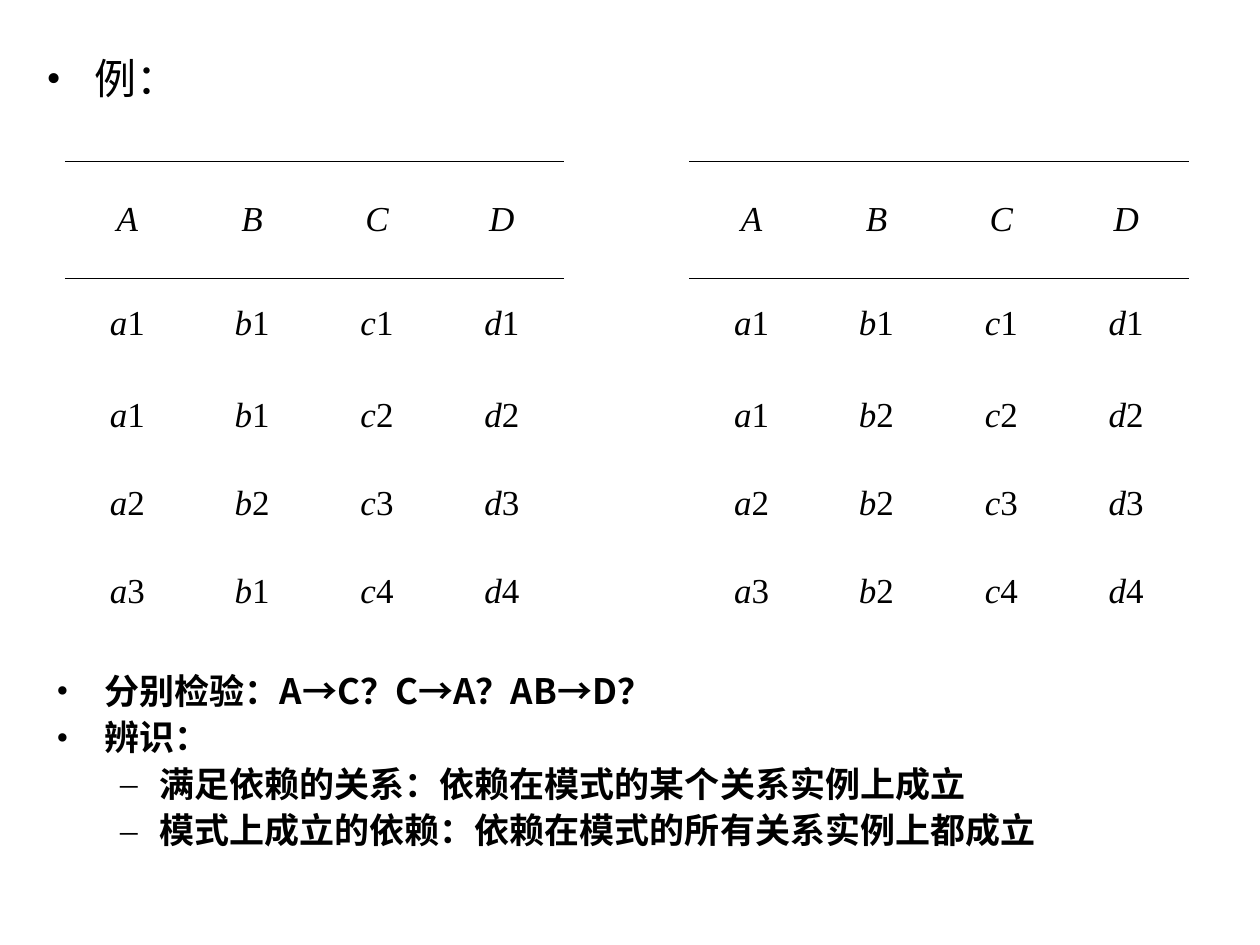
"""Build a slide that compares two relation instances under functional dependencies."""
from dataclasses import dataclass

from lxml import etree
from pptx import Presentation
from pptx import util as u
from pptx.dml.color import RGBColor
from pptx.enum import text
from pptx.oxml.ns import qn

SANS, SERIF = "Noto Sans CJK SC", "Times New Roman"
INK = "000000"
COLS, ROWS = 100, 75
PLAIN = "{2D5ABB26-0587-4C30-8999-92F81FD0307C}"
HEADS = "A B C D"
LEFT = ("a1 b1 c1 d1", "a1 b1 c2 d2", "a2 b2 c3 d3", "a3 b1 c4 d4")
RIGHT = ("a1 b1 c1 d1", "a1 b2 c2 d2", "a2 b2 c3 d3", "a3 b2 c4 d4")
HIGH = (9.3, 7.25, 7.25, 6.8, 7.15)


@dataclass
class Box:
    """A place on the grid, in columns and rows."""
    x: float
    y: float
    w: float
    h: float


@dataclass
class Item:
    """A bulleted line; margin and hang are in grid columns."""
    words: str
    mark: str = "•"
    margin: float = 3.8
    hang: float = 3.8


def wide(n: float) -> int:
    """Return the length of n grid columns."""
    return round(deck.slide_width * n / COLS)


def tall(n: float) -> int:
    """Return the length of n grid rows."""
    return round(deck.slide_height * n / ROWS)


def place(box: Box) -> tuple:
    """Return the position and size of a box."""
    return wide(box.x), tall(box.y), wide(box.w), tall(box.h)


def tint(hue: str) -> RGBColor:
    """Return a colour from its hex string."""
    return RGBColor.from_string(hue)


def add_run(para, words: str, face: str, size: float, bold=False, slant=False) -> None:
    """Add one styled run to a paragraph."""
    run = para.add_run()
    run.text = words
    font = run.font
    font.name, font.size, font.bold, font.italic = face, u.Pt(size), bold, slant
    font.color.rgb = tint(INK)
    etree.SubElement(run._r.get_or_add_rPr(), qn("a:ea"), typeface=face)


def add_mark(para, item: Item) -> None:
    """Give a paragraph its bullet and hanging indent."""
    props = para._p.get_or_add_pPr()
    props.set("marL", str(wide(item.margin)))
    props.set("indent", str(-wide(item.hang)))
    hue = etree.SubElement(props, qn("a:buClr"))
    etree.SubElement(hue, qn("a:srgbClr"), val=INK)
    etree.SubElement(props, qn("a:buFont"), typeface=SERIF)
    etree.SubElement(props, qn("a:buChar"), char=item.mark)


def add_list(slide, box: Box, items: list[Item], size: float, bold=False, lead=1.0) -> None:
    """Add a text box of bulleted lines."""
    frame = slide.shapes.add_textbox(*place(box)).text_frame
    frame.word_wrap = True
    for n, item in enumerate(items):
        para = frame.add_paragraph() if n else frame.paragraphs[0]
        para.level = int(item.mark == "–")
        add_mark(para, item)
        para.line_spacing = lead
        if n:
            para.space_before = u.Pt(5)
        add_run(para, item.words, SANS, size, bold)


def add_rule(cell, side: str, drawn: bool) -> None:
    """Set one side of a cell to a thin border or to none."""
    line = etree.SubElement(cell._tc.get_or_add_tcPr(), qn(f"a:{side}"), w=str(u.Pt(0.45)))
    fill = etree.SubElement(line, qn("a:solidFill" if drawn else "a:noFill"))
    if drawn:
        etree.SubElement(fill, qn("a:srgbClr"), val=INK)


def fill_cell(cell, words: str, above: bool, below: bool) -> None:
    """Write a cell with a slanted letter, an upright index and its borders."""
    add_rule(cell, "lnT", above)
    add_rule(cell, "lnB", below)
    cell.fill.background()
    cell.vertical_anchor = text.MSO_ANCHOR.MIDDLE
    para = cell.text_frame.paragraphs[0]
    para.alignment = text.PP_ALIGN.CENTER
    for sign in words:
        add_run(para, sign, SERIF, 20, slant=sign.isalpha())


def add_grid(slide, box: Box) -> None:
    """Add both relations as one table with an empty column between."""
    rows = [(HEADS, HEADS), *zip(LEFT, RIGHT)]
    table = slide.shapes.add_table(len(rows), 9, *place(box)).table
    table.first_row = table.horz_banding = False
    table._tbl.tblPr.find(qn("a:tableStyleId")).text = PLAIN
    for col in table.columns:
        col.width = wide(box.w / 9)
    for r, (left, right) in enumerate(rows):
        table.rows[r].height = tall(HIGH[r])
        for c, words in enumerate([*left.split(), "", *right.split()]):
            used = bool(words)
            fill_cell(table.cell(r, c), words, used and r < 2, used and r == 0)


deck = Presentation()
deck.slide_width, deck.slide_height = u.Inches(10), u.Inches(7.5)
page = deck.slides.add_slide(deck.slide_layouts[6])
add_list(page, Box(2.7, 3.7, 44.1, 6), [Item("例：")], 24)
add_grid(page, Box(5.15, 12.8, 89.2, sum(HIGH)))
add_list(page, Box(3.5, 53, 90, 21.5), [
    Item("分别检验：A→C？C→A？AB→D？"),
    Item("辨识："),
    Item("满足依赖的关系：依赖在模式的某个关系实例上成立", "–", 8.15, 3.1),
    Item("模式上成立的依赖：依赖在模式的所有关系实例上都成立", "–", 8.15, 3.1),
], 20, bold=True, lead=0.9)
deck.save("out.pptx")
